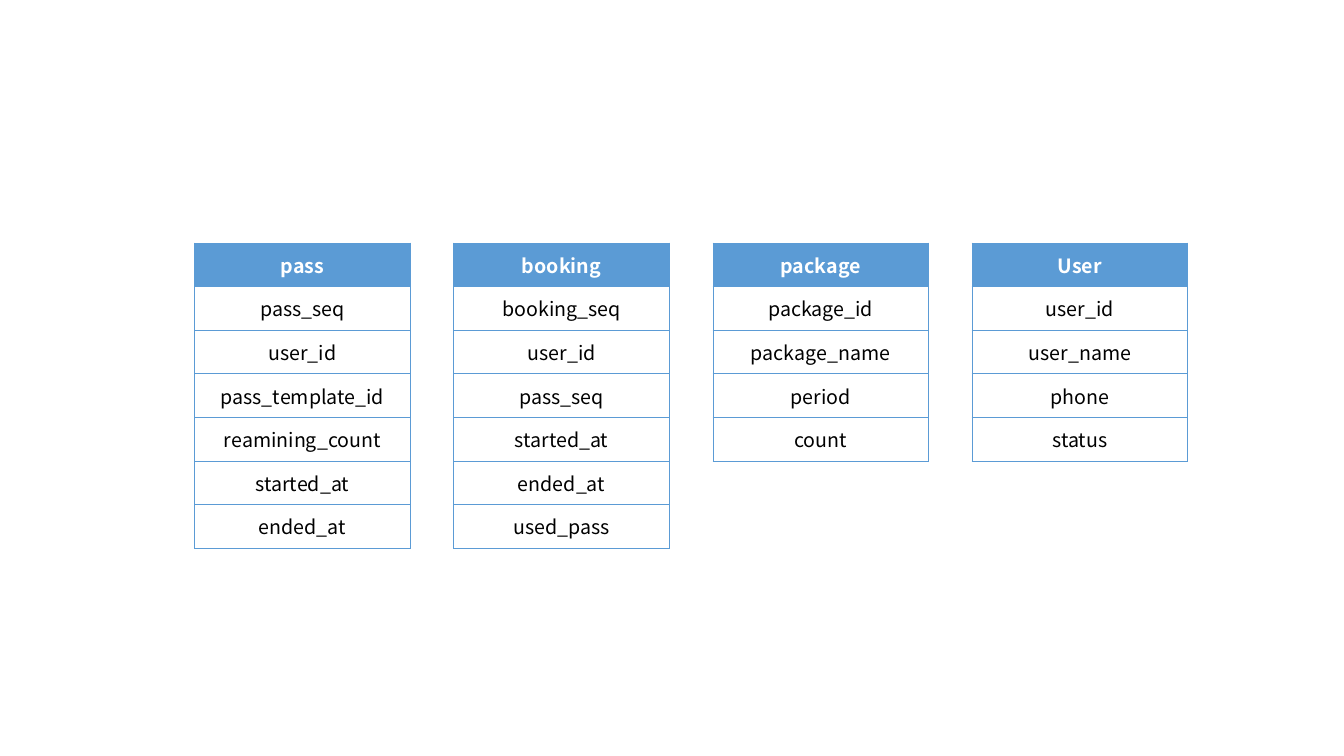
from lxml import etree
from pptx import Presentation
from pptx.dml.color import RGBColor
from pptx.enum.text import MSO_ANCHOR, PP_ALIGN
from pptx.oxml.ns import qn
from pptx.util import Inches, Pt

CENTER = PP_ALIGN.CENTER
MIDDLE = MSO_ANCHOR.MIDDLE
BLUE = RGBColor(0x5B, 0x9B, 0xD5)
WHITE = RGBColor(0xFF, 0xFF, 0xFF)
BLACK = RGBColor(0x00, 0x00, 0x00)
FONT = "Noto Sans CJK KR"

ENTITIES = {
    "pass": ["pass_seq", "user_id", "pass_template_id", "reamining_count",
             "started_at", "ended_at"],
    "booking": ["booking_seq", "user_id", "pass_seq", "started_at",
                "ended_at", "used_pass"],
    "package": ["package_id", "package_name", "period", "count"],
    "User": ["user_id", "user_name", "phone", "status"],
}
LEFT, TOP = Inches(1.93), Inches(2.41)
WIDTH, PITCH = Inches(2.14), Inches(2.57)
ROW_HEIGHT = Inches(3.03) // 7  # the tallest entity has seven rows


def write_text(cell, text, size=14, color=BLACK, bold=False):
    cell.vertical_anchor = MIDDLE
    cell.margin_left = cell.margin_right = Inches(0.08)
    cell.margin_top = cell.margin_bottom = Inches(0.04)
    paragraph = cell.text_frame.paragraphs[0]
    paragraph.alignment = CENTER
    run = paragraph.add_run()
    run.text = text
    run.font.name = FONT
    run.font.size = Pt(size)
    run.font.bold = bold
    run.font.color.rgb = color


def draw_borders(cell, color=BLUE, width=0.5):
    """Line all four sides; call before filling, as the schema puts lines first."""
    properties = cell._tc.get_or_add_tcPr()
    for side in ("a:lnL", "a:lnR", "a:lnT", "a:lnB"):
        line = etree.SubElement(properties, qn(side), w=str(Pt(width)))
        fill = etree.SubElement(line, qn("a:solidFill"))
        etree.SubElement(fill, qn("a:srgbClr"), val=str(color))


prs = Presentation()
prs.slide_width, prs.slide_height = Inches(13.33), Inches(7.5)
slide = prs.slides.add_slide(prs.slide_layouts[6])

for column, (entity, fields) in enumerate(ENTITIES.items()):
    labels = [entity, *fields]
    table = slide.shapes.add_table(
        len(labels), 1, LEFT + column * PITCH, TOP,
        WIDTH, ROW_HEIGHT * len(labels)).table
    table.horz_banding = False
    for row, label in enumerate(labels):
        is_header = row == 0
        cell = table.cell(row, 0)
        write_text(cell, label, color=WHITE if is_header else BLACK, bold=is_header)
        draw_borders(cell)
        cell.fill.solid()
        cell.fill.fore_color.rgb = BLUE if is_header else WHITE

prs.save("out.pptx")
